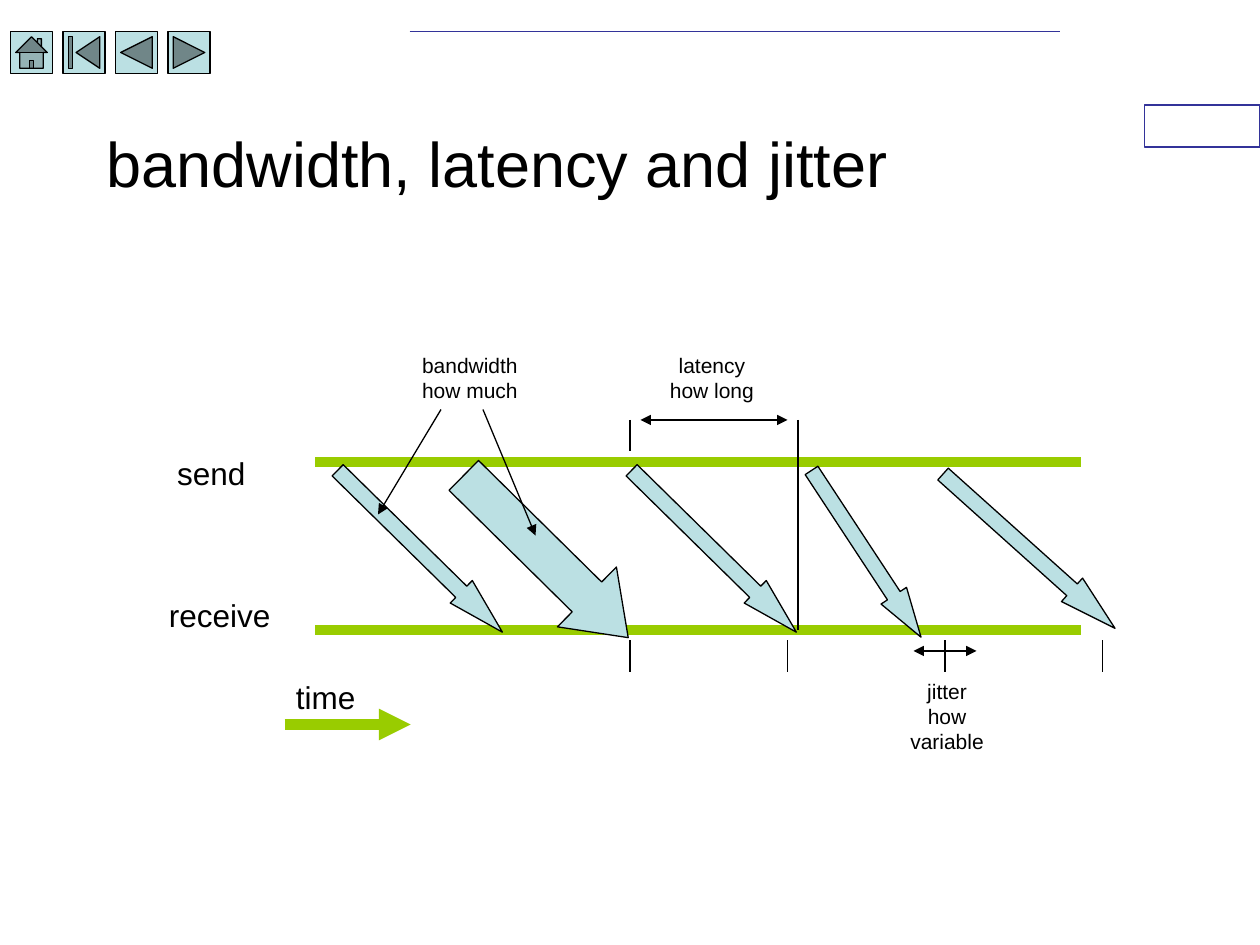
from dataclasses import dataclass

from lxml.etree import SubElement
from pptx import Presentation
from pptx.dml.color import RGBColor
from pptx.enum.shapes import MSO_CONNECTOR, MSO_SHAPE
from pptx.enum.text import MSO_ANCHOR, MSO_AUTO_SIZE, PP_ALIGN
from pptx.oxml.ns import qn
from pptx.util import Inches, Pt


@dataclass(frozen=True)
class Theme:
    font: str = "Arial"
    ink: str = "000000"
    paper: str = "FFFFFF"
    frame: str = "333399"
    pale: str = "BBE0E3"
    track: str = "99CC00"
    title_size: float = 36
    label_size: float = 18
    note_size: float = 12
    thin: float = 0.75
    rule: float = 1
    thick: float = 6


THEME = Theme()
COLUMNS, ROWS = 120, 90  # twelve grid cells to the inch
CELL = Inches(1) / 12
SEND, RECEIVE = 44, 60  # rows of the two tracks


def grid(*cells):
    return [round(cell * CELL) for cell in cells]


def add_box(slide, kind, box, fill=THEME.pale, line=THEME.ink):
    shape = slide.shapes.add_shape(kind, *grid(*box))
    shape.shadow.inherit = False
    shape.fill.solid()
    shape.fill.fore_color.rgb = RGBColor.from_string(fill)
    shape.line.color.rgb = RGBColor.from_string(line)
    shape.line.width = Pt(THEME.thin)
    return shape


def add_message(slide, box, angle, head):
    arrow = add_box(slide, MSO_SHAPE.RIGHT_ARROW, box)
    arrow.adjustments[0], arrow.adjustments[1] = 0.5, head
    arrow.rotation = angle


def add_line(slide, start, end, color=THEME.ink, width=THEME.thin, arrows=()):
    """Draw a line; arrows may hold headEnd (start) and tailEnd (end)."""
    line = slide.shapes.add_connector(
        MSO_CONNECTOR.STRAIGHT, *grid(*start, *end))
    line.line.color.rgb = RGBColor.from_string(color)
    line.line.width = Pt(width)
    properties = line._element.spPr
    for arrow in arrows:
        SubElement(properties.find(qn("a:ln")), qn(f"a:{arrow}"), type="triangle")
    SubElement(properties, qn("a:effectLst"))


def add_text(slide, text, box, size, align=PP_ALIGN.LEFT, wrap=False):
    shape = slide.shapes.add_textbox(*grid(*box))
    frame = shape.text_frame
    frame.word_wrap = wrap
    frame.auto_size = MSO_AUTO_SIZE.SHAPE_TO_FIT_TEXT
    paragraph = frame.paragraphs[0]
    paragraph.text = text
    paragraph.alignment = align
    paragraph.font.name = THEME.font
    paragraph.font.size = Pt(size)
    paragraph.font.color.rgb = RGBColor.from_string(THEME.ink)
    return frame


def add_header(slide):
    add_box(slide, MSO_SHAPE.RECTANGLE, (109, 10, 11, 4), THEME.paper, THEME.frame)
    add_line(slide, (39, 3), (101, 3), THEME.frame, THEME.rule)
    buttons = (MSO_SHAPE.ACTION_BUTTON_HOME,
               MSO_SHAPE.ACTION_BUTTON_BEGINNING,
               MSO_SHAPE.ACTION_BUTTON_BACK_OR_PREVIOUS,
               MSO_SHAPE.ACTION_BUTTON_FORWARD_OR_NEXT)
    for index, button in enumerate(buttons):
        add_box(slide, button, (1 + 5 * index, 3, 4, 4))
    title = add_text(slide, "bandwidth, latency and jitter", (9, 8, 90, 15),
                     THEME.title_size, wrap=True)
    title.auto_size = MSO_AUTO_SIZE.NONE
    title.vertical_anchor = MSO_ANCHOR.MIDDLE


def add_tracks(slide):
    for text, box in (("send", (15.7, 42.7, 9.2, 4.8)),
                      ("receive", (14.9, 56.2, 12.4, 4.8)),
                      ("time", (27, 64, 8.6, 4.8))):
        add_text(slide, text, box, THEME.label_size)
    for row in (SEND, RECEIVE):
        add_line(slide, (30, row), (103, row), THEME.track, THEME.thick)


def add_messages(slide):
    for box, angle, head in (((29, 51, 22, 3), 44.5, 1.83),
                             ((41, 49, 22, 8), 44.6, 0.69),
                             ((57, 51, 22, 3), 44.5, 1.83),
                             ((73, 51.3, 19, 2.9), 56.7, 1.63),
                             ((87, 51, 22, 3), 41.9, 1.83)):
        add_message(slide, box, angle, head)
    # Direction of time
    add_line(slide, (27.1, 69), (39.1, 69), THEME.track, THEME.thick, ["tailEnd"])


def add_measures(slide):
    both = ("headEnd", "tailEnd")
    # Bandwidth pointers
    add_line(slide, (42, 39), (36, 49), arrows=["tailEnd"])
    add_line(slide, (46, 39), (51, 51), arrows=["tailEnd"])
    # Latency span
    add_line(slide, (60, 40), (60, 43))
    add_line(slide, (76, 40), (76, RECEIVE))
    add_line(slide, (61, 40), (75, 40), arrows=both)
    # Expected arrivals and jitter span
    for column in range(60, 106, 15):
        add_line(slide, (column, RECEIVE + 1), (column, RECEIVE + 4))
    add_line(slide, (87, 62), (93, 62), arrows=both)
    # Captions; the last one wraps within its narrow box
    for text, box, wrap in (
            ("bandwidth\nhow much", (38.7, 33, 12.1, 6), False),
            ("latency\nhow long", (62.1, 33, 11.4, 6), False),
            ("jitter\nhow variable", (83.7, 64, 13, 8), True)):
        add_text(slide, text, box, THEME.note_size, PP_ALIGN.CENTER, wrap)


def main():
    presentation = Presentation()
    presentation.slide_width, presentation.slide_height = grid(COLUMNS, ROWS)
    slide = presentation.slides.add_slide(presentation.slide_layouts[6])
    add_header(slide)
    add_tracks(slide)
    add_messages(slide)
    add_measures(slide)
    presentation.save("out.pptx")


if __name__ == "__main__":
    main()
